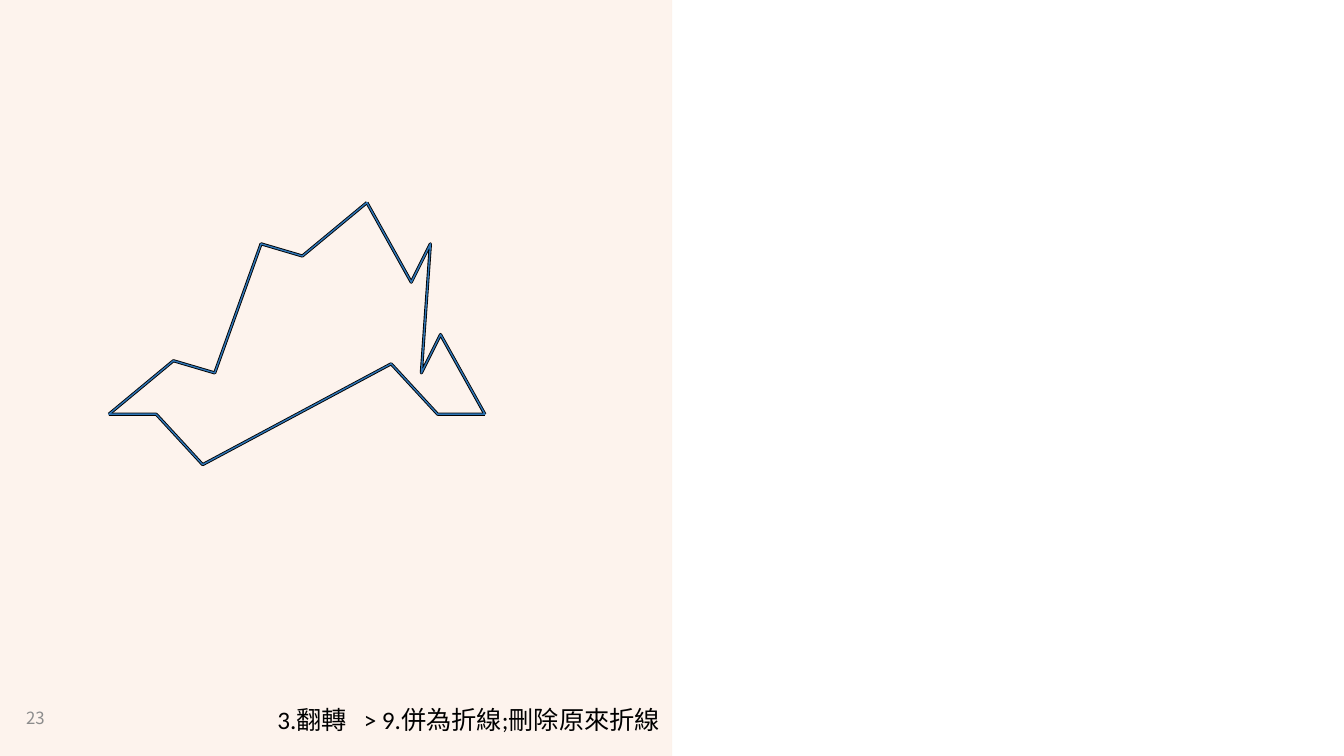
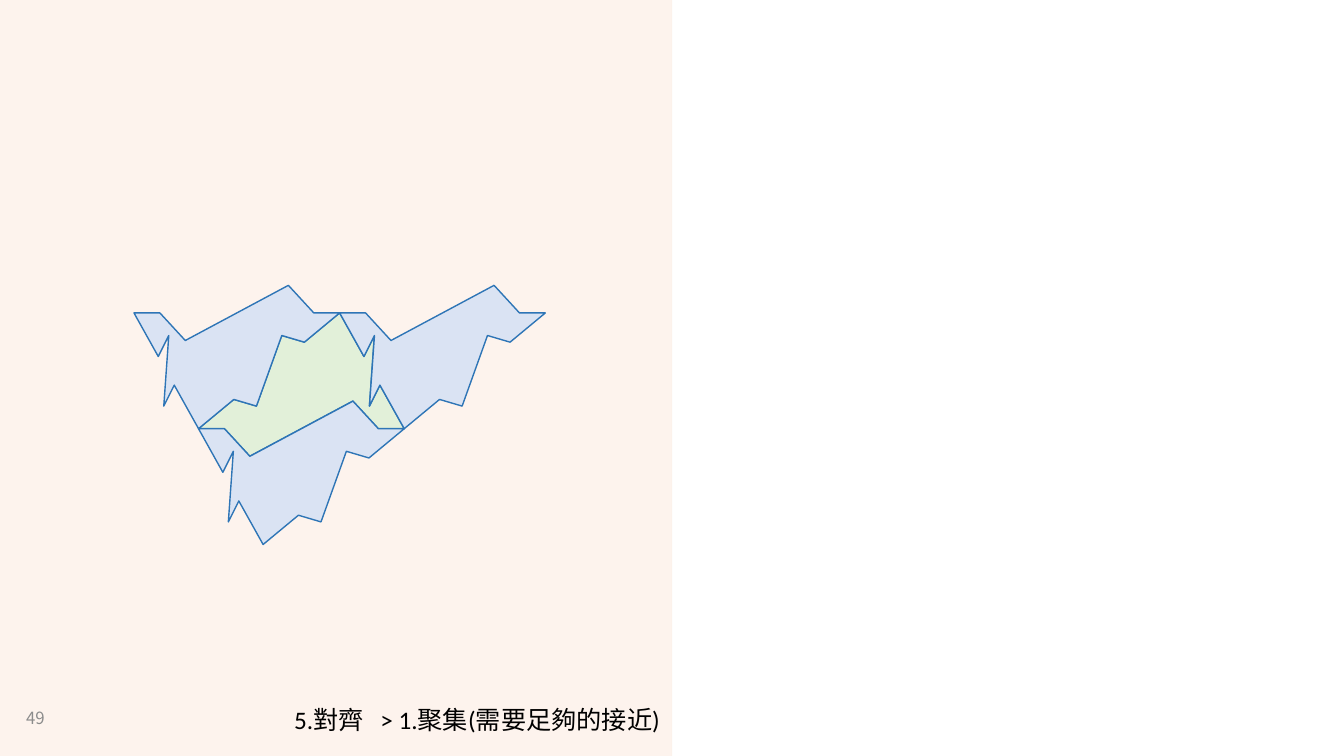
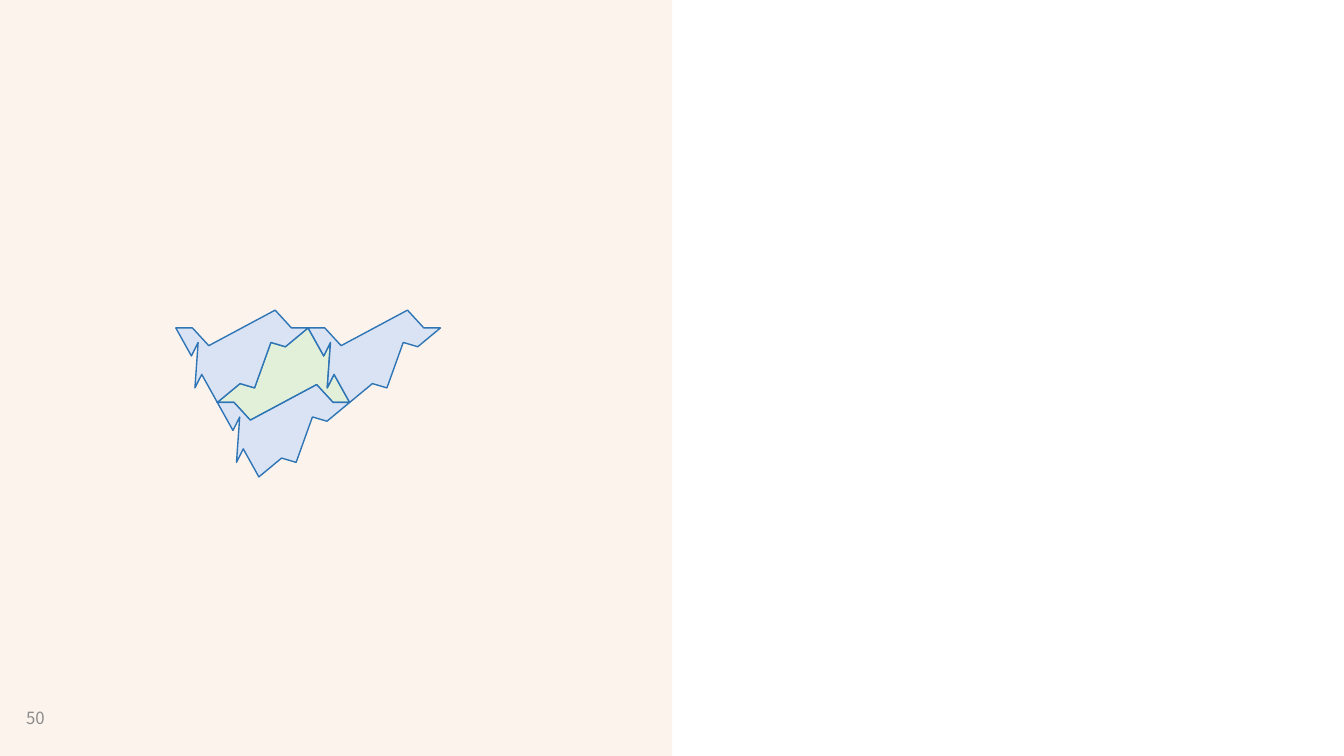
from dataclasses import dataclass
from typing import NamedTuple

from lxml.etree import SubElement
from pptx import Presentation
from pptx.dml.color import RGBColor
from pptx.enum.shapes import MSO_CONNECTOR, MSO_SHAPE
from pptx.enum.text import MSO_ANCHOR, PP_ALIGN
from pptx.oxml.ns import qn
from pptx.util import Pt

COLORS = {
    "band": "F4B183",
    "rule": "FBE5D6",
    "number": "8C8C8C",
    "text": "000000",
    "edge": "000000",
    "outline": "2E75B6",
    "center": "E2F0D9",
    "neighbor": "DAE3F3",
}
WIDTH, HEIGHT = 960, 540
BAND_WIDTH = 480


class Point(NamedTuple):
    x: float
    y: float


@dataclass(frozen=True)
class Edge:
    start: Point
    bends: tuple[Point, ...]
    end: Point

    def mirror(self, pt: Point) -> Point:
        return Point(self.start.x + self.end.x - pt.x, self.start.y + self.end.y - pt.y)

    def points(self) -> list[Point]:
        mirrored = [self.mirror(pt) for pt in reversed(self.bends)]
        return [self.start, *self.bends, *mirrored, self.end]


@dataclass(frozen=True)
class Caption:
    menu: str
    command: str
    width: float


@dataclass(frozen=True)
class Page:
    number: str
    origin: Point
    scale: float
    tiled: bool
    caption: Caption | None = None


APEX, LEFT, RIGHT = Point(184.3, 0), Point(0, 151.2), Point(268.6, 151.2)
EDGES = (
    Edge(APEX, (Point(138.2, 38.2), Point(108.7, 29.5)), LEFT),
    Edge(LEFT, (Point(33.8, 151.2), Point(67, 187.2)), RIGHT),
    Edge(RIGHT, (Point(236.9, 94.3), Point(223.2, 121.7)), APEX),
)
OUTLINE = [pt for edge in EDGES for pt in edge.points()[:-1]]
TILE_WIDTH = max(pt.x for pt in OUTLINE)
TILE_HEIGHT = max(pt.y for pt in OUTLINE)

PAGES = (
    Page("23", Point(77.8, 144.7), 1, False,
         Caption("3.翻轉", "> 9.併為折線;刪除原來折線", 293.8)),
    Page("49", Point(141.8, 223.5), 0.547, True,
         Caption("5.對齊", "> 1.聚集(需要足夠的接近)", 281.5)),
    Page("50", Point(155.2, 234.2), 0.352, True),
)


def rgb(name: str) -> RGBColor:
    return RGBColor.from_string(COLORS[name])


def set_alpha(element, percent: int) -> None:
    color = next(element.iter(qn("a:srgbClr")))
    SubElement(color, qn("a:alpha")).set("val", str(percent * 1000))


def add_master_band(prs, s) -> None:
    band = s.shapes.add_shape(MSO_SHAPE.RECTANGLE, 0, 0, Pt(BAND_WIDTH), Pt(HEIGHT))
    band.shadow.inherit = False
    band.fill.solid()
    band.fill.fore_color.rgb = rgb("band")
    set_alpha(band.element, 14)
    band.line.fill.background()
    rule = s.shapes.add_connector(
        MSO_CONNECTOR.STRAIGHT, Pt(BAND_WIDTH), Pt(HEIGHT), Pt(BAND_WIDTH), 0)
    rule.line.color.rgb = rgb("rule")
    rule.line.width = Pt(0.25)
    set_alpha(rule.element, 50)
    SubElement(rule.element.spPr, qn("a:effectLst"))
    tree = prs.slide_master.element.cSld.spTree
    for i, sp in enumerate((band, rule)):
        sp.element.xpath("./*/p:cNvPr")[0].set("id", str(101 + i))
        tree.insert(2 + i, sp.element)


def add_run(p, text: str, size: float, font: str, color: str):
    r = p.add_run()
    r.text = text
    r.font.size = Pt(size)
    r.font.name = font
    r.font.color.rgb = rgb(color)
    return r


def add_number(s, text: str) -> None:
    sp = s.shapes.add_textbox(Pt(11.5), Pt(499), Pt(48), Pt(28))
    tf = sp.text_frame
    tf.word_wrap = True
    tf.vertical_anchor = MSO_ANCHOR.MIDDLE
    add_run(tf.paragraphs[0], text, 12, "Noto Sans CJK SC", "number")


def add_caption(s, caption: Caption) -> None:
    sp = s.shapes.add_shape(
        MSO_SHAPE.ROUNDED_RECTANGLE, Pt(BAND_WIDTH - caption.width), Pt(497.5),
        Pt(caption.width), Pt(32.4))
    sp.shadow.inherit = False
    sp.fill.background()
    sp.line.fill.background()
    tf = sp.text_frame
    tf.word_wrap = True
    tf.vertical_anchor = MSO_ANCHOR.MIDDLE
    p = tf.paragraphs[0]
    p.alignment = PP_ALIGN.RIGHT
    for text in (caption.menu, " ", caption.command):
        add_run(p, text, 18, "Calibri", "text")
    gap = list(sp.element.iter(qn("a:rPr")))[1]
    gap.set("spc", "800")


def add_path(shapes, points: list[Point], page: Page, closed: bool, color: str,
             width: float, fill: str | None = None, shift: Point = Point(0, 0)):
    placed = [
        (Pt(page.origin.x + page.scale * (pt.x + shift.x)),
         Pt(page.origin.y + page.scale * (pt.y + shift.y)))
        for pt in points
    ]
    builder = shapes.build_freeform(*placed[0])
    builder.add_line_segments(placed[1:], close=closed)
    sp = builder.convert_to_shape()
    sp.shadow.inherit = False
    sp.line.color.rgb = rgb(color)
    sp.line.width = Pt(width)
    if fill:
        sp.fill.solid()
        sp.fill.fore_color.rgb = rgb(fill)
    else:
        sp.fill.background()
    return sp


def add_outline(s, page: Page) -> None:
    for edge in EDGES:
        add_path(s.shapes, edge.points(), page, False, "edge", 2.25)
    add_path(s.shapes, OUTLINE, page, True, "outline", 1)


def add_tiling(s, page: Page) -> None:
    shapes = s.shapes.add_group_shape().shapes
    add_path(shapes, OUTLINE, page, True, "outline", 1, "center")
    for edge in reversed(EDGES):
        shift = edge.mirror(Point(TILE_WIDTH, TILE_HEIGHT))
        sp = add_path(shapes, OUTLINE, page, True, "outline", 1, "neighbor", shift)
        sp.rotation = 180


def main() -> None:
    prs = Presentation()
    prs.slide_width, prs.slide_height = Pt(WIDTH), Pt(HEIGHT)
    blank = prs.slide_layouts[6]
    for i, page in enumerate(PAGES):
        s = prs.slides.add_slide(blank)
        if i == 0:
            add_master_band(prs, s)
        add_number(s, page.number)
        if page.tiled:
            add_tiling(s, page)
        else:
            add_outline(s, page)
        if page.caption:
            add_caption(s, page.caption)
    prs.save("out.pptx")


if __name__ == "__main__":
    main()
